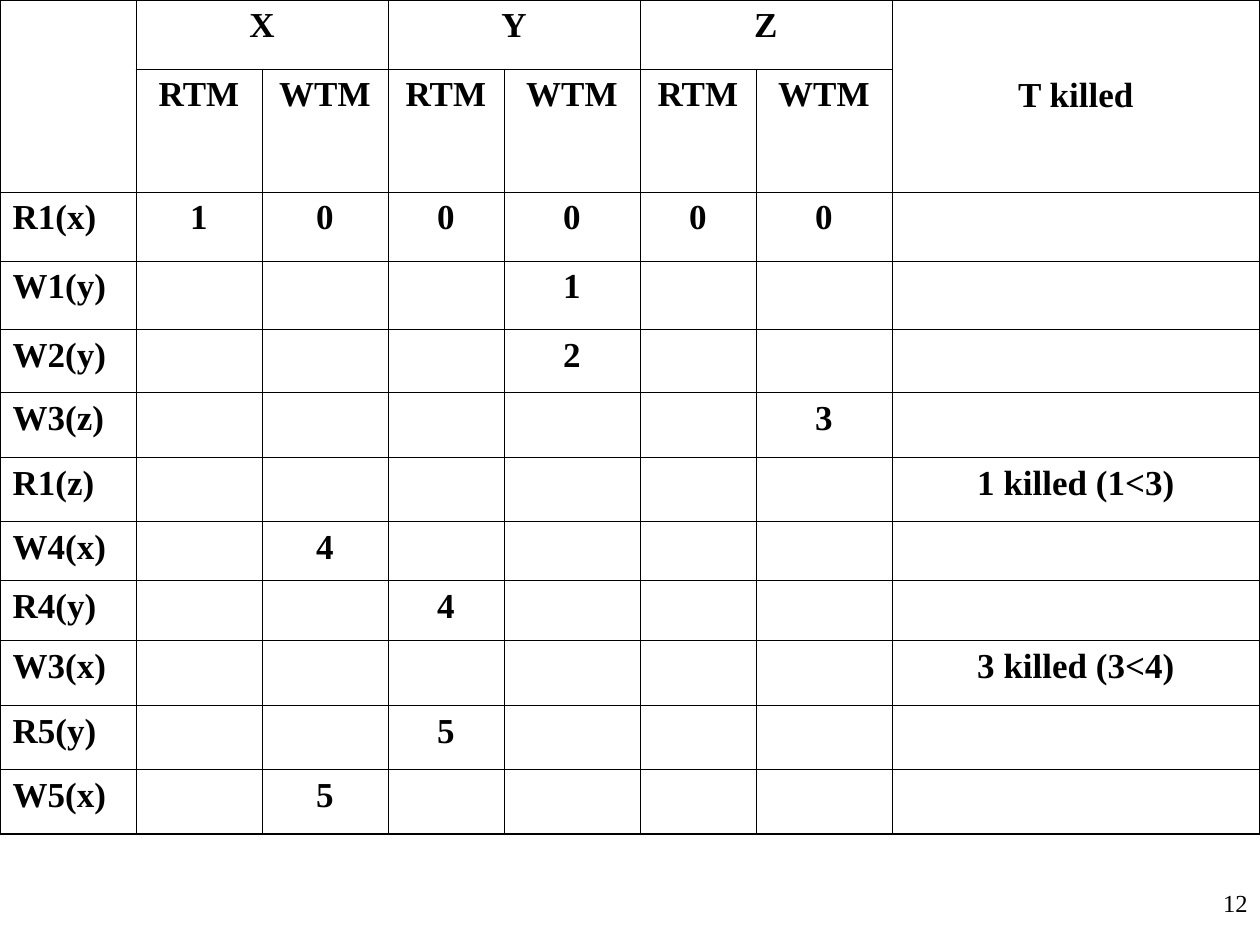
from dataclasses import dataclass, field

import pptx
import pptx.dml.color
import pptx.enum.text
import pptx.oxml
import pptx.oxml.ns
import pptx.util

BLACK = pptx.dml.color.RGBColor(0, 0, 0)
FONT = "Times New Roman"
SCALE = 914400 / 126
THIN, THICK = 0.45, 1.08
COLS = (136, 126, 126, 116, 136, 116, 136, 368)
ROWS = (69, 123, 69, 69, 63, 65, 64, 59, 60, 65, 64, 64)
HEAD = 2
LAST = len(COLS) - 1
ALIGN = pptx.enum.text.PP_ALIGN
MIDDLE = pptx.enum.text.MSO_ANCHOR.MIDDLE


@dataclass
class Step:
    """One operation of the schedule, with the marks it leaves by column."""
    name: str
    marks: dict[int, str] = field(default_factory=dict)


STEPS = (
    Step("R1(x)", {1: "1"} | {col: "0" for col in range(2, LAST)}),
    Step("W1(y)", {4: "1"}),
    Step("W2(y)", {4: "2"}),
    Step("W3(z)", {6: "3"}),
    Step("R1(z)", {LAST: "1 killed (1<3)"}),
    Step("W4(x)", {2: "4"}),
    Step("R4(y)", {3: "4"}),
    Step("W3(x)", {LAST: "3 killed (3<4)"}),
    Step("R5(y)", {3: "5"}),
    Step("W5(x)", {2: "5"}),
)


def px(size: int) -> pptx.util.Emu:
    return pptx.util.Emu(round(size * SCALE))


def write(frame, text: str, align, size: int = 20, bold: bool = True) -> None:
    para = frame.paragraphs[0]
    para.alignment = align
    run = para.add_run()
    run.text = text
    font = run.font
    font.name, font.size, font.bold = FONT, pptx.util.Pt(size), bold
    font.color.rgb = BLACK


def rule(cell, row: int, col: int) -> None:
    """Clear the fill and draw the four borders, heavier on the table's rim."""
    cell.fill.background()
    rim = {"L": col == 0, "R": col == LAST,
           "T": row == 0, "B": row == len(ROWS) - 1}
    props = cell._tc.get_or_add_tcPr()
    for spot, (side, outer) in enumerate(rim.items()):
        width = pptx.util.Pt(THICK if outer else THIN)
        props.insert(spot, pptx.oxml.parse_xml(
            f'<a:ln{side} {pptx.oxml.ns.nsdecls("a")} w="{width}">'
            f'<a:solidFill><a:srgbClr val="{BLACK}"/></a:solidFill>'
            f'</a:ln{side}>'))


def add_grid(slide):
    shape = slide.shapes.add_table(len(ROWS), len(COLS), 0, 0,
                                   px(sum(COLS)), px(sum(ROWS)))
    grid = shape.table
    grid.first_row = grid.horz_banding = False
    for col, width in enumerate(COLS):
        grid.columns[col].width = px(width)
    for row, height in enumerate(ROWS):
        grid.rows[row].height = px(height)
        for col in range(len(COLS)):
            rule(grid.cell(row, col), row, col)
    return grid


def fill_head(grid) -> None:
    for col in (0, LAST):
        grid.cell(0, col).merge(grid.cell(1, col))
    for col, item in zip(range(1, LAST, 2), "XYZ"):
        grid.cell(0, col).merge(grid.cell(0, col + 1))
        write(grid.cell(0, col).text_frame, item, ALIGN.CENTER)
        for shift, mark in enumerate(("RTM", "WTM")):
            write(grid.cell(1, col + shift).text_frame, mark, ALIGN.CENTER)
    killed = grid.cell(0, LAST)
    killed.vertical_anchor = MIDDLE
    write(killed.text_frame, "T killed", ALIGN.CENTER)


def fill_steps(grid) -> None:
    for row, step in enumerate(STEPS, HEAD):
        write(grid.cell(row, 0).text_frame, step.name, ALIGN.LEFT)
        for col, mark in step.marks.items():
            write(grid.cell(row, col).text_frame, mark, ALIGN.CENTER)


def add_number(slide, text: str) -> None:
    box = slide.shapes.add_textbox(px(998), px(882), px(262), px(63))
    box.text_frame.word_wrap = True
    write(box.text_frame, text, ALIGN.RIGHT, size=14, bold=False)


def main() -> None:
    deck = pptx.Presentation()
    deck.slide_width, deck.slide_height = px(1260), px(945)
    slide = deck.slides.add_slide(deck.slide_layouts[6])
    grid = add_grid(slide)
    fill_head(grid)
    fill_steps(grid)
    add_number(slide, "12")
    deck.save("out.pptx")


if __name__ == "__main__":
    main()
